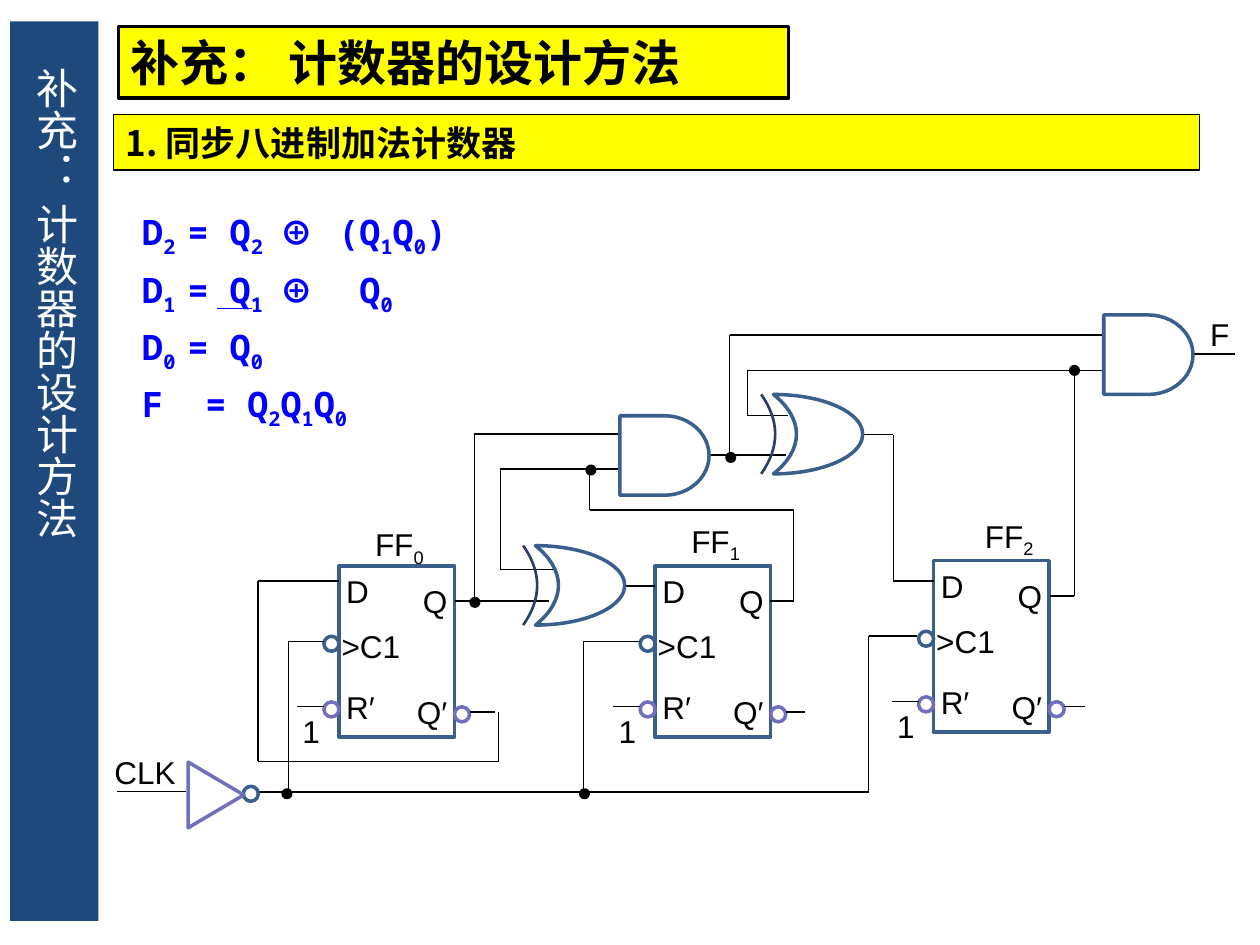
from dataclasses import dataclass
from itertools import pairwise
from lxml.etree import SubElement
from pptx import Presentation
from pptx.dml.color import RGBColor
from pptx.enum.shapes import MSO_CONNECTOR, MSO_SHAPE
from pptx.enum.text import MSO_ANCHOR, PP_ALIGN
from pptx.oxml.ns import qn
from pptx.util import Pt


@dataclass(frozen=True)
class Theme:
    navy = RGBColor.from_string("1F497D")
    yellow = RGBColor.from_string("FFFF00")
    black = RGBColor.from_string("000000")
    white = RGBColor.from_string("FFFFFF")
    blue = RGBColor.from_string("0000FF")
    gate = RGBColor.from_string("3A5F8C")
    purple = RGBColor.from_string("6F6FBC")
    arc = RGBColor.from_string("254061")
    heading_font = "Noto Sans CJK SC"
    equation_font = "Noto Sans Mono"
    label_font = "Arial"
    heading = 28
    side = 24
    body = 20
    label = 18


theme = Theme()
presentation = Presentation()
presentation.slide_width, presentation.slide_height = Pt(720), Pt(540)
slide = presentation.slides.add_slide(presentation.slide_layouts[6])
shapes = slide.shapes


def add_outline(kind, box, line=None, fill=None, weight=2):
    shape = shapes.add_shape(kind, *map(Pt, box))
    shape.shadow.inherit = False
    if fill is None:
        shape.fill.background()
    else:
        shape.fill.solid()
        shape.fill.fore_color.rgb = fill
    if line is None:
        shape.line.fill.background()
    else:
        shape.line.color.rgb = line
        shape.line.width = Pt(weight)
    return shape


def write(paragraph, text, size=theme.label, font=theme.label_font,
          color=theme.black, bold=False, align=PP_ALIGN.LEFT):
    paragraph.alignment = align
    for index, part in enumerate(text.split("|")):
        if not part:
            continue
        run = paragraph.add_run()
        run.text = part
        run.font.size, run.font.bold, run.font.name = Pt(size), bold, font
        run.font.color.rgb = color
        properties = run._r.get_or_add_rPr()
        SubElement(properties, qn("a:ea")).set("typeface", font)
        if index % 2:
            properties.set("baseline", "-25000")


title = "补充： 计数器的设计方法"
add_outline(MSO_SHAPE.RECTANGLE, (5.8, 12.2, 50.4, 514), fill=theme.navy)
headings = [
    ((67.7, 15.1, 383, 41), 2, title, theme.heading),
    ((64.8, 65.5, 620.6, 31.7), 0.75, "1. 同步八进制加法计数器", theme.body),
]
for box, weight, text, size in headings:
    banner = add_outline(MSO_SHAPE.RECTANGLE, box, theme.black, theme.yellow, weight)
    banner.text_frame.vertical_anchor = MSO_ANCHOR.MIDDLE
    write(banner.text_frame.paragraphs[0], text, size, theme.heading_font, bold=True)

side_title = shapes.add_textbox(Pt(8.6), Pt(31.7), Pt(46.8), Pt(484))
side_title.text_frame.word_wrap = True
side_title.text_frame.vertical_anchor = MSO_ANCHOR.MIDDLE
side_title.text_frame._txBody.bodyPr.set("vert", "eaVert")
write(side_title.text_frame.paragraphs[0], title, theme.side, theme.heading_font, theme.white)

equations = shapes.add_textbox(Pt(74.2), Pt(111.6), Pt(335), Pt(124))
equations.text_frame.word_wrap = True
equation_lines = [
    "D|2 |= Q|2 |⊕ (Q|1|Q|0|)",
    "D|1 |= Q|1 |⊕  Q|0",
    "D|0 |= Q|0",
    "F  = Q|2|Q|1|Q|0",
]
for index, text in enumerate(equation_lines):
    frame = equations.text_frame
    paragraph = frame.add_paragraph() if index else frame.paragraphs[0]
    paragraph.line_spacing = 1.2
    write(paragraph, text, theme.body, theme.equation_font, theme.blue, True)

labels = [
    (58.3, 427, 58, "CLK", PP_ALIGN.LEFT),
    (674, 176.4, 46, "F", PP_ALIGN.CENTER),
]
wires = [
    [(285, 407), (285, 435), (147.5, 435), (147.5, 332), (193.7, 332)],
    [(165, 452), (165, 366.5), (185, 366.5)],
    [(333.5, 452), (333.5, 366.5), (366, 366.5)],
    [(148, 452.5), (496.5, 452.5), (496.5, 363.5), (524, 363.5)],
    [(260, 343.5), (314, 343.5)],
    [(271, 343.5), (271, 248), (354, 248)],
    [(440, 343.5), (453.5, 343.5), (453.5, 291.5), (337, 291.5), (337, 268)],
    [(354, 268), (286, 268), (286, 325.5), (317, 325.5)],
    [(357, 334.8), (374.4, 334.8)],
    [(406, 260), (449, 260)],
    [(417, 260), (417, 191.5), (631, 191.5)],
    [(450, 237.6), (427, 237.6), (427, 211.7), (631, 211.7)],
    [(493, 248.4), (510.5, 248.4), (510.5, 332), (533.5, 332)],
    [(600, 340.5), (614, 340.5), (614, 212)],
    [(682.5, 202.3), (705.6, 202.3)],
    [(67, 452.2), (106.5, 452.2)],
]

flip_flops = [
    (193.7, 323.3, 11.5, -26.6, 89.3),
    (374.4, 323.3, 11.5, -28.8, 85.7),
    (533.5, 320.4, 20.2, -28.8, 86.4),
]
for number, (left, top, name_x, name_y, stub_end) in enumerate(flip_flops):
    add_outline(MSO_SHAPE.RECTANGLE, (left, top, 66, 98), theme.gate)
    pins = [
        (-3, 0, 46, "D", PP_ALIGN.LEFT),
        (23, 5.8, 46, "Q", PP_ALIGN.RIGHT),
        (23, 69, 46, "Q′", PP_ALIGN.RIGHT),
        (-3, 66.2, 46, "R′", PP_ALIGN.LEFT),
        (-5.6, 31.7, 55, ">C1", PP_ALIGN.LEFT),
        (-37.4, 80.3, 43, "1", PP_ALIGN.CENTER),
        (name_x, name_y, 46, f"FF|{number}", PP_ALIGN.CENTER),
    ]
    labels += [(left + x, top + y, *rest) for x, y, *rest in pins]
    bubbles = [(-8.6, 40.3, theme.gate), (-8.6, 77.8, theme.purple), (66, 80.6, theme.purple)]
    for x, y, color in bubbles:
        add_outline(MSO_SHAPE.OVAL, (left + x, top + y, 8.6, 8.6), color)
    for start, end, y in [(74.6, stub_end, 83.5), (-24, -8.6, 80.6)]:
        wires.append([(left + start, top + y), (left + end, top + y)])

wires = [(theme.black, points) for points in wires]
wires.append((theme.blue, [(123.8, 176.4), (144, 176.4)]))
for color, points in wires:
    for start, end in pairwise(points):
        wire = shapes.add_connector(MSO_CONNECTOR.STRAIGHT, *map(Pt, start + end))
        wire.line.color.rgb = color
        wire.line.width = Pt(0.75)
        SubElement(wire._element.spPr, qn("a:effectLst"))

for x, y in [(271.4, 344.2), (164, 453.6), (334, 453.6),
             (337.7, 268.6), (614, 211.7), (417.6, 261.4)]:
    add_outline(MSO_SHAPE.OVAL, (x - 2.15, y - 2.15, 4.3, 4.3), theme.black, theme.black)

for left, top in [(630.7, 180), (354.2, 237.6)]:
    add_outline(MSO_SHAPE.FLOWCHART_DELAY, (left, top, 51, 45.4), theme.gate)

for left, top in [(442, 225.4), (306, 311.8)]:
    exclusive_or = add_outline(MSO_SHAPE.MOON, (left, top, 51, 45.4), theme.gate)
    exclusive_or.adjustments[0] = 0.742
    exclusive_or._element.spPr.xfrm.set("flipH", "1")
    curve = [(left - 7 + 8 * (1 - (step / 8 - 1) ** 2), top + 45.4 * step / 16)
             for step in range(17)]
    points = [(Pt(x), Pt(y)) for x, y in curve]
    builder = shapes.build_freeform(*points[0])
    builder.add_line_segments(points[1:], close=False)
    input_arc = builder.convert_to_shape()
    input_arc.shadow.inherit = False
    input_arc.fill.background()
    input_arc.line.color.rgb = theme.arc
    input_arc.line.width = Pt(1.5)

add_outline(MSO_SHAPE.OVAL, (139, 449.3, 8.6, 8.6), theme.gate)
inverter = add_outline(MSO_SHAPE.ISOSCELES_TRIANGLE, (104.6, 438.4, 37.6, 31.8), theme.purple)
inverter.rotation = 90

for left, top, width, text, align in labels:
    label = shapes.add_textbox(Pt(left), Pt(top), Pt(width), Pt(29))
    label.text_frame.word_wrap = True
    write(label.text_frame.paragraphs[0], text, align=align)

presentation.save("out.pptx")
